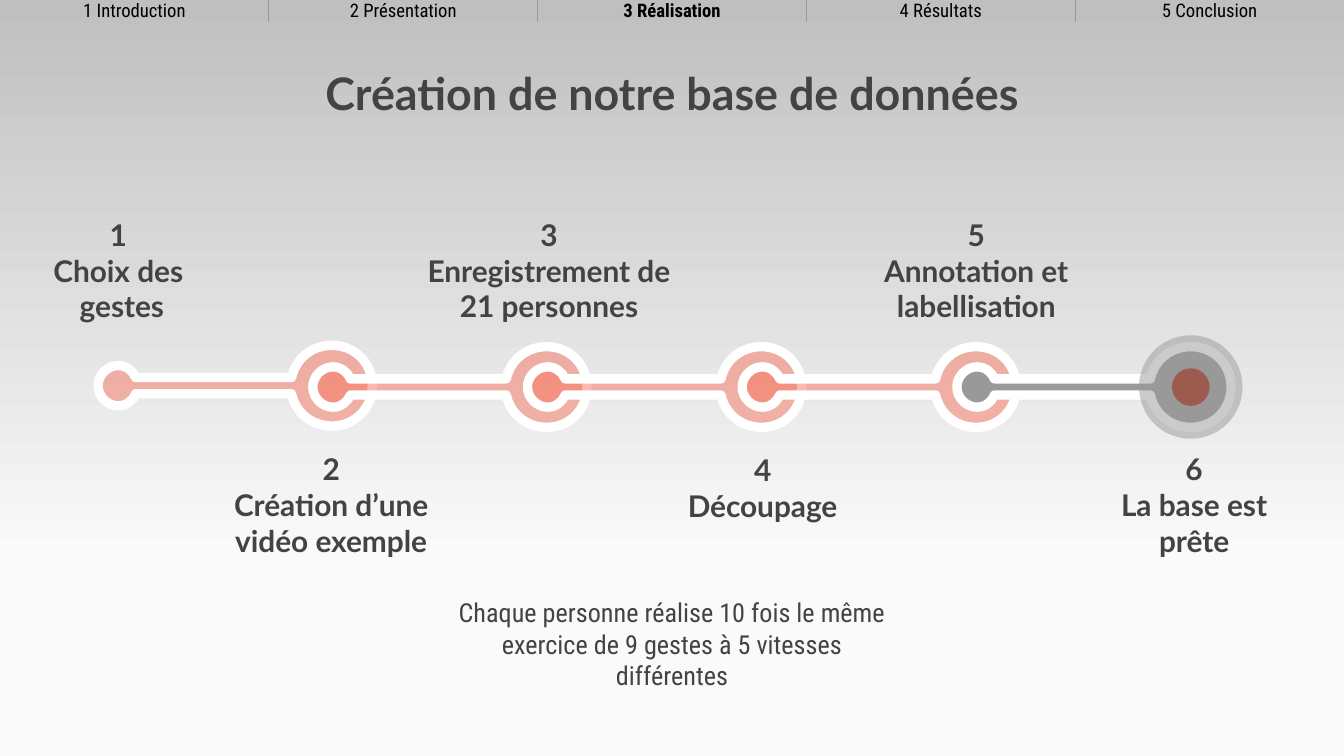
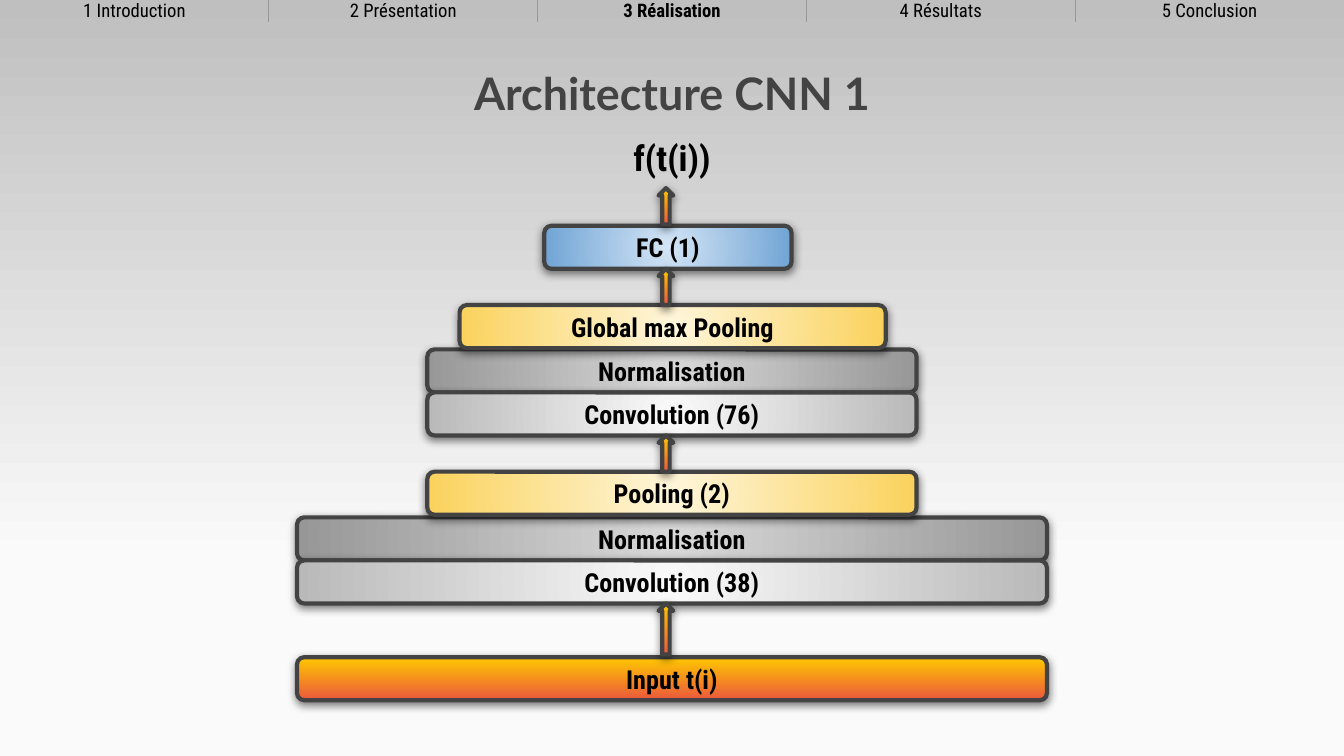
import pptx
import pptx.dml.color
import pptx.enum.shapes
import pptx.enum.text
import pptx.oxml
import pptx.oxml.ns
import pptx.util

Inches = pptx.util.Inches
MIDDLE = pptx.enum.text.MSO_ANCHOR.MIDDLE
TOP = pptx.enum.text.MSO_ANCHOR.TOP
SHAPES = pptx.enum.shapes.MSO_SHAPE

# ---- Content ----
SECTIONS = ["1 Introduction", "2 Présentation", "3 Réalisation", "4 Résultats", "5 Conclusion"]
CURRENT_SECTION = 2

DATABASE_TITLE = "Création de notre base de données"
STEPS = [  # text, left and width of its box, anchor, vertical margin
    ("Choix des\n gestes", 0.19, 1.38, MIDDLE, 0.04),
    ("Création d’une vidéo exemple", 1.6, 1.73, MIDDLE, 0.04),
    ("Enregistrement de 21 personnes", 3.09, 1.99, MIDDLE, 0.04),
    ("Découpage", 4.81, 1.73, TOP, 0.01),
    ("Annotation et labellisation", 6.4, 1.73, MIDDLE, 0.04),
    ("La base est prête", 8.02, 1.73, MIDDLE, 0.04),
]
DATABASE_NOTE = ("Chaque personne réalise 10 fois le même exercice "
                 "de 9 gestes à 5 vitesses différentes")

NETWORK_TITLE = "Architecture CNN 1"
NETWORK_OUTPUT = "f(t(i))"
LAYERS = [  # label, gradient, left, width, gap above, arrow height in that gap
    ("FC (1)", "dense", 4.05, 1.84, 0.28, 0.27),
    ("Global max Pooling", "pooling", 3.42, 3.17, 0.27, 0.27),
    ("Normalisation", "normalisation", 3.18, 3.64, 0.01, 0),
    ("Convolution (76)", "convolution", 3.18, 3.64, 0, 0),
    ("Pooling (2)", "pooling", 3.18, 3.64, 0.27, 0.27),
    ("Normalisation", "normalisation", 2.21, 5.58, 0.02, 0),
    ("Convolution (38)", "convolution", 2.21, 5.58, 0, 0),
    ("Input t(i)", "input", 2.21, 5.58, 0.4, 0.38),
]

# ---- Style ----
COLORS = {"text": "434343", "black": "000000", "white": "FFFFFF", "gray": "999999",
          "coral": "F77660", "red": "A31E08"}
GRADIENTS = {
    "background": [(0, "BFBFBF"), (74, "FAFAFA"), (83, "FAFAFA"), (100, "FBFBFB")],
    "input": [(0, "FFC800"), (100, "EB573D"), (100, "737373")],
    "normalisation": [(0, "D8D8D8"), (100, "979797")],
    "convolution": [(0, "FAFAFA"), (100, "B9B9B9")],
    "pooling": [(0, "FFF6DB"), (100, "FAD25C")],
    "dense": [(0, "D4E5F5"), (100, "70A4D5")],
}
HEADING_FONT, BODY_FONT = "Lato", "Roboto Condensed"
NO_TABLE_STYLE = "{2D5ABB26-0587-4C30-8999-92F81FD0307C}"

# ---- Geometry, in inches ----
SLIDE_WIDTH, SLIDE_HEIGHT = 10, 5.625
FIRST_DOT, LAST_DOT, LINK_LENGTH, TIMELINE_Y = 0.88, 7.27, 1.59, 2.88
LAYER_HEIGHT, STACK_TOP = 0.32, 1.4
ARROW_LEFT, ARROW_WIDTH = 4.9, 0.11


def rgb(name):
    return pptx.dml.color.RGBColor.from_string(COLORS[name])


def drawing_xml(xml):
    """Parse one DrawingML element, written with its a: prefix."""
    tag, rest = xml.split(" ", 1)
    return pptx.oxml.parse_xml(f'{tag} {pptx.oxml.ns.nsdecls("a")} {rest}')


def write(text_frame, text, size, font=BODY_FONT, color="text", bold=False,
          margins=(0.07, 0.04), anchor=TOP, wrap=True):
    """Fill a text frame with centred paragraphs in one style."""
    text_frame.text = text
    text_frame.word_wrap = wrap
    text_frame.auto_size = pptx.enum.text.MSO_AUTO_SIZE.NONE
    text_frame.vertical_anchor = anchor
    text_frame.margin_left = text_frame.margin_right = Inches(margins[0])
    text_frame.margin_top = text_frame.margin_bottom = Inches(margins[1])
    for paragraph in text_frame.paragraphs:
        style_paragraph(paragraph, size, font, color, bold)


def style_paragraph(paragraph, size, font, color, bold):
    paragraph.alignment = pptx.enum.text.PP_ALIGN.CENTER
    for run in paragraph.runs:
        run.font.size = pptx.util.Pt(size)
        run.font.name = font
        run.font.bold = bold
        run.font.color.rgb = rgb(color)


def add_text(slide, left, top, width, height, text, size, **style):
    box = slide.shapes.add_textbox(*map(Inches, (left, top, width, height)))
    write(box.text_frame, text, size, **style)


def fill_gradient(fill, element, name, circular=False):
    """Apply named stops, top to bottom or outwards from the centre."""
    fill.gradient()
    gradient = element.find(".//" + pptx.oxml.ns.qn("a:gradFill"))
    for child in list(gradient):
        gradient.remove(child)
    stops = "".join(f'<a:gs pos="{share * 1000}"><a:srgbClr val="{color}"/></a:gs>'
                    for share, color in GRADIENTS[name])
    gradient.append(drawing_xml(f"<a:gsLst >{stops}</a:gsLst>"))
    if circular:
        gradient.append(drawing_xml(
            '<a:path path="circle"><a:fillToRect l="50000" t="50000" r="50000" b="50000"/></a:path>'))
    else:
        gradient.append(drawing_xml('<a:lin ang="5400000" scaled="0"/>'))


def fill_solid(shape, color, opacity=100):
    shape.shadow.inherit = False
    shape.fill.solid()
    shape.fill.fore_color.rgb = rgb(color)
    if opacity < 100:
        value = shape.element.spPr.find(".//" + pptx.oxml.ns.qn("a:srgbClr"))
        value.append(drawing_xml(f'<a:alpha val="{opacity * 1000}"/>'))


def add_section_bar(slide):
    count = len(SECTIONS)
    frame = slide.shapes.add_table(1, count, 0, 0, Inches(SLIDE_WIDTH), Inches(0.15))
    table = frame.table
    table.first_row = table.horz_banding = False
    frame.element.find(".//" + pptx.oxml.ns.qn("a:tableStyleId")).text = NO_TABLE_STYLE
    for index, section in enumerate(SECTIONS):
        cell = table.cell(0, index)
        cell.text = section
        cell.vertical_anchor = MIDDLE
        cell.margin_left = cell.margin_right = Inches(0.1)
        cell.margin_top = cell.margin_bottom = 0
        cell.fill.background()
        style_paragraph(cell.text_frame.paragraphs[0], 10, BODY_FONT, "black",
                        index == CURRENT_SECTION)
        inner_sides = ["lnL"] * (index > 0) + ["lnR"] * (index < count - 1)
        properties = cell._tc.get_or_add_tcPr()
        for position, side in enumerate(inner_sides):
            properties.insert(position, drawing_xml(
                f'<a:{side} w="9525"><a:solidFill><a:srgbClr val="{COLORS["gray"]}"/>'
                f"</a:solidFill></a:{side}>"))


def add_slide(presentation, title):
    slide = presentation.slides.add_slide(presentation.slide_layouts[0])
    subtitle = slide.placeholders[1].element
    subtitle.getparent().remove(subtitle)
    heading = slide.shapes.title
    heading.left, heading.top, heading.width, heading.height = map(Inches, (2.15, 0.39, 5.7, 1.03))
    write(heading.text_frame, title, 24, font=HEADING_FONT, bold=True, margins=(0.1, 0.1))
    return slide


# Outline of a link, clockwise from the top of its disc: L is a line, C a Bézier curve.
# Disc points are offsets from the disc's centre, dot points from the dot's centre.
LINK_OUTLINE = [
    ("C", "disc", [(0.17, -0.3), (0.3, -0.17), (0.3, 0)]),
    ("C", "disc", [(0.3, 0.17), (0.17, 0.3), (0, 0.3)]),
    ("C", "disc", [(-0.15, 0.3), (-0.27, 0.2), (-0.3, 0.06)]),
    ("L", "dot", [(0.13, 0.06)]),
    ("C", "dot", [(0.11, 0.11), (0.06, 0.15), (0, 0.15)]),
    ("C", "dot", [(-0.08, 0.15), (-0.15, 0.08), (-0.15, 0)]),
    ("C", "dot", [(-0.15, -0.08), (-0.08, -0.15), (0, -0.15)]),
    ("C", "dot", [(0.06, -0.15), (0.11, -0.11), (0.13, -0.06)]),
    ("L", "disc", [(-0.3, -0.06)]),
    ("C", "disc", [(-0.27, -0.2), (-0.15, -0.3), (0, -0.3)]),
]


def add_link(slide, dot, y, color, opacity):
    """Draw a small dot joined by a bar to a larger disc."""
    centers = {"dot": dot, "disc": dot + LINK_LENGTH}
    points = [(Inches(centers[part] + dx), Inches(y + dy))
              for _, part, offsets in LINK_OUTLINE for dx, dy in offsets]
    builder = slide.shapes.build_freeform(*points[-1])
    builder.add_line_segments(points, close=True)
    link = builder.convert_to_shape()
    lines = iter(link.element.findall(".//" + pptx.oxml.ns.qn("a:lnTo")))
    for kind, _, offsets in LINK_OUTLINE:
        segment = [next(lines) for _ in offsets]
        if kind == "C":
            curve = drawing_xml("<a:cubicBezTo />")
            segment[0].addprevious(curve)
            for line in segment:
                curve.append(line[0])
                line.getparent().remove(line)
    fill_solid(link, color, opacity)
    link.line.color.rgb = rgb("white")
    link.line.width = pptx.util.Pt(5)


def add_disc(slide, center, diameter, color, opacity=100):
    disc = slide.shapes.add_shape(
        SHAPES.OVAL, Inches(center - diameter / 2), Inches(TIMELINE_Y - diameter / 2),
        Inches(diameter), Inches(diameter))
    fill_solid(disc, color, opacity)
    disc.line.fill.background()


def build_database_slide(presentation):
    slide = add_slide(presentation, DATABASE_TITLE)
    add_section_bar(slide)
    links = len(STEPS) - 1
    for index in range(links):
        dot = FIRST_DOT + (LAST_DOT - FIRST_DOT) * index / (links - 1)
        y = TIMELINE_Y - 0.01 if index == 0 else TIMELINE_Y
        color, opacity = ("gray", 100) if index == links - 1 else ("coral", 50)
        add_link(slide, dot, y, color, opacity)
    add_disc(slide, LAST_DOT + LINK_LENGTH, 0.28, "red")
    add_disc(slide, LAST_DOT + LINK_LENGTH, 0.77, "gray", 50)
    for index, (text, left, width, anchor, margin) in enumerate(STEPS):
        top, height = (3.35, 0.81) if index % 2 else (1.67, 0.68)
        add_text(slide, left, top, width, height, f"{index + 1}\n{text}", 16,
                 font=HEADING_FONT, bold=True, anchor=anchor, margins=(0.07, margin))
    add_text(slide, 3.29, 4.4, 3.42, 0.73, DATABASE_NOTE, 14)


def add_block(slide, preset, gradient, left, top, width, height, circular=False):
    """Add an outlined gradient shape with a soft shadow below it."""
    block = slide.shapes.add_shape(preset, *map(Inches, (left, top, width, height)))
    fill_gradient(block.fill, block.element, gradient, circular)
    block.line.color.rgb = rgb("text")
    block.line.width = pptx.util.Pt(2.25)
    block.shadow.inherit = False
    effects = block.element.spPr.find(pptx.oxml.ns.qn("a:effectLst"))
    effects.append(drawing_xml(
        '<a:outerShdw blurRad="57150" dist="19050" dir="5400000" algn="bl" rotWithShape="0">'
        f'<a:srgbClr val="{COLORS["black"]}"><a:alpha val="50000"/></a:srgbClr></a:outerShdw>'))
    return block


def build_network_slide(presentation):
    slide = add_slide(presentation, NETWORK_TITLE)
    layers, arrows = [], []
    y = STACK_TOP
    for label, gradient, left, width, gap, arrow_height in LAYERS:
        if arrow_height:
            arrows.append((y, arrow_height))
        y += gap
        layers.append((width, left, y, label, gradient))
        y += LAYER_HEIGHT
    # Wide layers go behind, so that narrow ones cast their shadow on them.
    for width, left, top, label, gradient in sorted(layers, key=lambda layer: -layer[0]):
        layer = add_block(slide, SHAPES.ROUNDED_RECTANGLE, gradient, left, top, width,
                          LAYER_HEIGHT, circular=gradient != "input")
        write(layer.text_frame, label, 14, color="black", bold=True,
              margins=(0.1, 0.1), anchor=MIDDLE)
    for top, height in reversed(arrows):
        add_block(slide, SHAPES.UP_ARROW, "input", ARROW_LEFT, top, ARROW_WIDTH, height)
    add_text(slide, 4.61, 0.91, 0.78, 0.53, NETWORK_OUTPUT, 19, color="black", bold=True,
             margins=(0.1, 0.1), wrap=False)
    add_section_bar(slide)


def main():
    presentation = pptx.Presentation()
    presentation.slide_width = Inches(SLIDE_WIDTH)
    presentation.slide_height = Inches(SLIDE_HEIGHT)
    master = presentation.slide_master
    fill_gradient(master.background.fill, master.element, "background")
    build_database_slide(presentation)
    build_network_slide(presentation)
    presentation.save("out.pptx")


if __name__ == "__main__":
    main()
